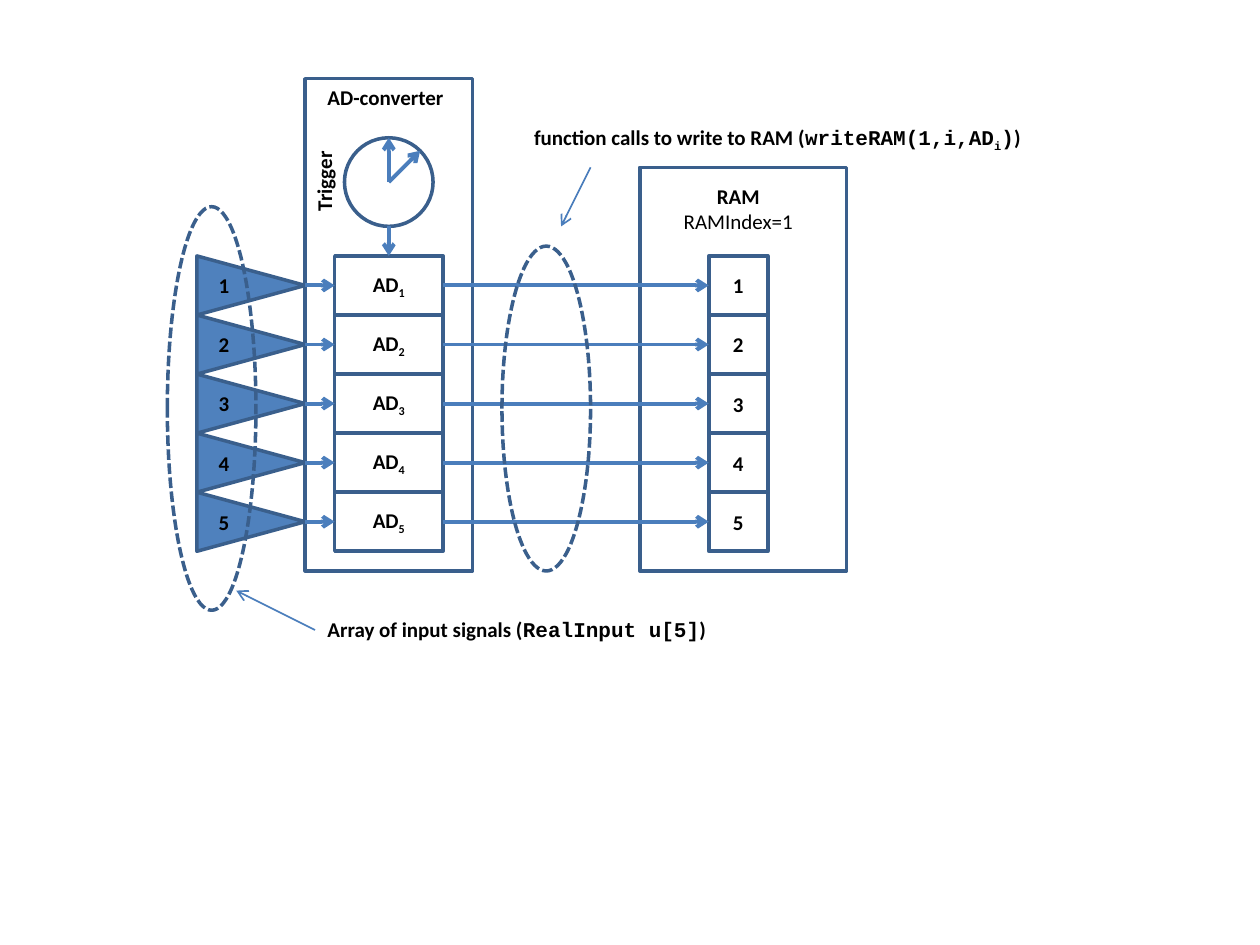
from dataclasses import dataclass
from math import cos, pi, sin

from lxml.etree import SubElement
from pptx import Presentation
from pptx.dml.color import RGBColor
from pptx.enum.dml import MSO_LINE_DASH_STYLE as Dash
from pptx.enum.shapes import MSO_CONNECTOR, MSO_SHAPE as Preset
from pptx.enum.text import MSO_ANCHOR, MSO_AUTO_SIZE, PP_ALIGN as Align
from pptx.oxml.ns import qn
from pptx.util import Pt


@dataclass(frozen=True)
class Theme:
    outline: RGBColor = RGBColor(0x3A, 0x5F, 0x8C)
    arrow: RGBColor = RGBColor(0x4B, 0x7E, 0xBC)
    signal: RGBColor = RGBColor(0x4F, 0x81, 0xBD)
    ink: RGBColor = RGBColor(0, 0, 0)
    font: str = "Calibri"
    code_font: str = "Courier New"
    size: float = 12
    outline_width: float = 2
    arrow_width: float = 2.25
    pointer_width: float = 1


THEME = Theme()

# Row grid shared by inputs, converter channels and RAM cells
CHANNELS = 5
ROW_TOP, ROW_HEIGHT = 146.25, 33.75
INPUT_LEFT, CHANNEL_LEFT, CELL_LEFT = 112.5, 191.25, 405
CHANNEL_WIDTH = 61.88
INPUT_TIP = INPUT_LEFT + CHANNEL_WIDTH
CLOCK_X, CLOCK_Y, CLOCK_RADIUS = 222.19, 104.06, 25.31
OVAL_WIDTH = 50.63


def add_run(paragraph, text, bold=True, code=False, subscript=False):
    run = paragraph.add_run()
    run.text = text
    run.font.name = THEME.code_font if code else THEME.font
    run.font.size = Pt(THEME.size)
    run.font.bold = bold
    run.font.color.rgb = THEME.ink
    if subscript:
        run._r.get_or_add_rPr().set("baseline", "-25000")


def add_outline(slide, preset, left, top, width, height, fill=None, dashed=False):
    outline = slide.shapes.add_shape(preset, Pt(left), Pt(top), Pt(width), Pt(height))
    outline.shadow.inherit = False
    if fill is None:
        outline.fill.background()
    else:
        outline.fill.solid()
        outline.fill.fore_color.rgb = fill
    outline.line.color.rgb = THEME.outline
    outline.line.width = Pt(THEME.outline_width)
    if dashed:
        outline.line.dash_style = Dash.SQUARE_DOT
    return outline


def centre_text(shape, text, subscript=""):
    frame = shape.text_frame
    frame.vertical_anchor = MSO_ANCHOR.MIDDLE
    paragraph = frame.paragraphs[0]
    paragraph.alignment = Align.CENTER
    add_run(paragraph, text)
    if subscript:
        add_run(paragraph, subscript, subscript=True)


def add_input(slide, row_top, number):
    # Upright triangle turned to point right, with its text turned back
    inset = (CHANNEL_WIDTH - ROW_HEIGHT) / 2
    signal = add_outline(slide, Preset.ISOSCELES_TRIANGLE, INPUT_LEFT + inset,
                         row_top - inset, ROW_HEIGHT, CHANNEL_WIDTH, THEME.signal)
    signal.rotation = 90
    centre_text(signal, number)
    signal.text_frame._txBody.bodyPr.set("vert", "vert270")


def add_cell(slide, left, row_top, width, text, subscript=""):
    cell = add_outline(slide, Preset.RECTANGLE, left, row_top, width, ROW_HEIGHT)
    centre_text(cell, text, subscript)
    return cell


def add_arrow(slide, start, end, width=THEME.arrow_width):
    arrow = slide.shapes.add_connector(
        MSO_CONNECTOR.STRAIGHT, *(Pt(value) for value in (*start, *end)))
    arrow.line.color.rgb = THEME.arrow
    arrow.line.width = Pt(width)
    properties = arrow._element.spPr
    SubElement(properties.find(qn("a:ln")), qn("a:tailEnd"), type="arrow")
    SubElement(properties, qn("a:effectLst"))
    return arrow


def add_label(slide, left, top, width, height=21.8, align=Align.LEFT, rotation=0):
    label = slide.shapes.add_textbox(Pt(left), Pt(top), Pt(width), Pt(height))
    label.rotation = rotation
    label.text_frame.word_wrap = False
    label.text_frame.auto_size = MSO_AUTO_SIZE.SHAPE_TO_FIT_TEXT
    paragraph = label.text_frame.paragraphs[0]
    paragraph.alignment = align
    return paragraph


def add_channels(slide):
    """Draw each signal path: input, AD channel, RAM cell; return the first channel."""
    channels = []
    for index in range(CHANNELS):
        number = str(index + 1)
        row_top = ROW_TOP + index * ROW_HEIGHT
        middle = row_top + ROW_HEIGHT / 2
        add_input(slide, row_top, number)
        channel = add_cell(slide, CHANNEL_LEFT, row_top, CHANNEL_WIDTH, "AD", number)
        cell = add_cell(slide, CELL_LEFT, row_top, ROW_HEIGHT, number)

        sample = add_arrow(slide, (INPUT_TIP, middle), (CHANNEL_LEFT, middle))
        sample.end_connect(channel, 1)
        write = add_arrow(slide, (CHANNEL_LEFT + CHANNEL_WIDTH, middle),
                          (CELL_LEFT, middle))
        write.begin_connect(channel, 3)
        write.end_connect(cell, 1)
        channels.append(channel)
    return channels[0]


def add_trigger(slide, first_channel):
    add_outline(slide, Preset.OVAL, CLOCK_X - CLOCK_RADIUS, CLOCK_Y - CLOCK_RADIUS,
                2 * CLOCK_RADIUS, 2 * CLOCK_RADIUS)
    for angle in (pi / 2, pi / 4):
        add_arrow(slide, (CLOCK_X, CLOCK_Y),
                  (CLOCK_X + CLOCK_RADIUS * cos(angle),
                   CLOCK_Y - CLOCK_RADIUS * sin(angle)))
    pulse = add_arrow(slide, (CLOCK_X, CLOCK_Y + CLOCK_RADIUS), (CLOCK_X, ROW_TOP))
    pulse.end_connect(first_channel, 0)
    add_run(add_label(slide, 160.7, 92.3, 49, rotation=270), "Trigger")


def add_notes_on_signals(slide):
    # Input array
    add_outline(slide, Preset.OVAL, 95.63, 118.13, OVAL_WIDTH, 230.63, dashed=True)
    add_arrow(slide, (180, 360), (135, 337.5), THEME.pointer_width)
    inputs_note = add_label(slide, 180, 348.75, 234)
    add_run(inputs_note, "Array of input signals (")
    add_run(inputs_note, "RealInput u[5]", code=True)
    add_run(inputs_note, ")")

    # Function calls
    add_outline(slide, Preset.OVAL, 286.88, 140.63, OVAL_WIDTH, 185.63, dashed=True)
    add_arrow(slide, (337.5, 95.63), (320.63, 129.38), THEME.pointer_width)
    calls_note = add_label(slide, 298.1, 67.5, 301.7)
    add_run(calls_note, "function calls to write to RAM (")
    add_run(calls_note, "writeRAM(1,i,AD", code=True)
    add_run(calls_note, "i", code=True, subscript=True)
    add_run(calls_note, ")", code=True)
    add_run(calls_note, ")")


def main():
    presentation = Presentation()
    presentation.slide_width, presentation.slide_height = Pt(720), Pt(540)
    slide = presentation.slides.add_slide(presentation.slide_layouts[6])

    # Converter and RAM frames
    add_outline(slide, Preset.RECTANGLE, INPUT_TIP, 45, 95.63, 281.25)
    add_outline(slide, Preset.RECTANGLE, 365.63, 95.63, 118.13, 230.63)
    add_run(add_label(slide, 180, 45, 81.4), "AD-converter")
    ram_title = add_label(slide, 382.3, 101.25, 79.2, 36.4, Align.CENTER)
    add_run(ram_title, "RAM")
    ram_title.add_line_break()
    add_run(ram_title, "RAMIndex=1", bold=False)

    # Signal paths, trigger clock and explanations
    first_channel = add_channels(slide)
    add_trigger(slide, first_channel)
    add_notes_on_signals(slide)

    presentation.save("out.pptx")


if __name__ == "__main__":
    main()
